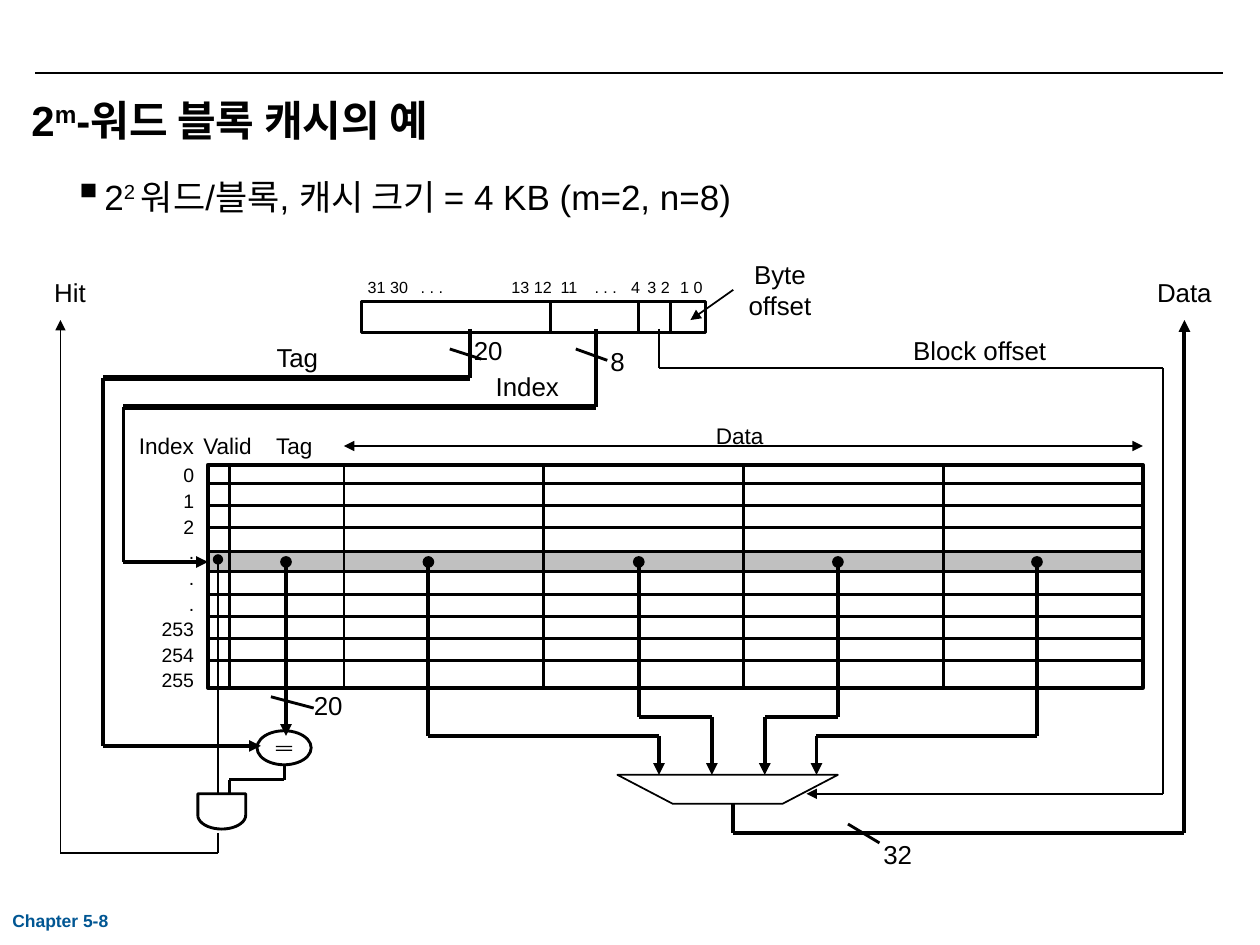
import itertools
import math

import lxml.etree
import pptx
import pptx.dml.color
import pptx.enum.shapes
import pptx.enum.text
import pptx.oxml.ns
import pptx.util
from pptx.util import Inches

BLACK = pptx.dml.color.RGBColor(0x00, 0x00, 0x00)
GRAY = pptx.dml.color.RGBColor(0xC0, 0xC0, 0xC0)
BLUE = pptx.dml.color.RGBColor(0x00, 0x56, 0x93)
FINE, THIN, MEDIUM, BUS, HEAVY = 0.75, 1, 1.63, 2.25, 3
LABEL, COLUMN, ROW, BIT = 14.8, 12.9, 11.1, 9.2
SHAPE = pptx.enum.shapes.MSO_SHAPE
ALIGN = pptx.enum.text.PP_ALIGN


def set_attrs(obj, fmt):
    for name, value in fmt.items():
        setattr(obj, name, value)


def add_xml(parent, tag, **attrs):
    return lxml.etree.SubElement(parent, pptx.oxml.ns.qn(tag), attrs)


def add_text(sl, box, paragraphs, size, wrap=False, bold=False, color=BLACK, inset=None, **para):
    """Each paragraph is a list of (text, is superscript) pairs or a plain string."""
    tf = sl.shapes.add_textbox(*map(Inches, box)).text_frame
    tf.word_wrap = wrap
    if inset is not None:
        for side in ("left", "top", "right", "bottom"):
            setattr(tf, "margin_" + side, Inches(inset))
    for i, runs in enumerate(paragraphs):
        p = tf.add_paragraph() if i else tf.paragraphs[0]
        set_attrs(p, para)
        for text, raised in [(runs, False)] if isinstance(runs, str) else runs:
            r = p.add_run()
            r.text = text
            set_attrs(r.font, {"size": pptx.util.Pt(size), "name": "Arial", "bold": bold})
            r.font.color.rgb = color
            if raised:
                r.font._element.set("baseline", "30000")
    return tf


def label(sl, x, y, w, text, size=LABEL, h=0.35, wrap=False):
    add_text(sl, (x, y, w, h), [text], size, wrap, alignment=ALIGN.CENTER)


def line(sl, start, end, width, head=None, tail=None):
    cn = sl.shapes.add_connector(pptx.enum.shapes.MSO_CONNECTOR.STRAIGHT,
                                 *map(Inches, (*start, *end)))
    cn.line.color.rgb = BLACK
    cn.line.width = pptx.util.Pt(width)
    for tag, kind in (("a:headEnd", head), ("a:tailEnd", tail)):
        if kind:
            add_xml(cn.line._get_or_add_ln(), tag, type=kind)
    add_xml(cn._element.spPr, "a:effectLst")


def route(sl, points, *widths, head=None, tail=None):
    """Join the points with straight wires, cycling through the widths."""
    pairs = list(itertools.pairwise(points))
    for i, ((a, b), width) in enumerate(zip(pairs, itertools.cycle(widths))):
        line(sl, a, b, width, head if i == 0 else None, tail if i == len(pairs) - 1 else None)


def paint(sp, width, fill=None):
    sp.shadow.inherit = False
    if fill is None:
        sp.fill.background()
    else:
        sp.fill.solid()
        sp.fill.fore_color.rgb = fill
    if width:
        sp.line.color.rgb = BLACK
        sp.line.width = pptx.util.Pt(width)
    else:
        sp.line.fill.background()


def shape(sl, kind, box, width, fill=None):
    paint(sl.shapes.add_shape(kind, *map(Inches, box)), width, fill)


def polygon(sl, points, width):
    first, *rest = [tuple(map(Inches, pt)) for pt in points]
    fb = sl.shapes.build_freeform(*first)
    fb.add_line_segments(rest, close=True)
    paint(fb.convert_to_shape(), width)


def bus_width(sl, x, y, dx, dy, text, text_x, text_y, text_w=0.43):
    """Slash across a bus, with its number of bits."""
    line(sl, (x, y), (x + dx, y + dy), MEDIUM)
    label(sl, x + text_x, y + text_y, text_w, text)


def heading(sl, x, y, w):
    line(sl, (x, y), (x + w, y), FINE)
    add_text(sl, (x - 0.03, y + 0.17, w, 0.67),
             [[("2", False), ("m", True), ("-워드 블록 캐시의 예", False)]],
             24, wrap=True, bold=True, inset=0)
    tf = add_text(sl, (x + 0.2, y + 0.76, w - 0.12, 0.53),
                  [[("2", False), ("2 ", True),
                    ("워드/블록, 캐시 크기 = 4 KB (m=2, n=8)", False)]], 20, wrap=True)
    pPr = tf.paragraphs[0]._p.get_or_add_pPr()
    for name, value in (("marL", 0.25), ("indent", -0.25)):
        pPr.set(name, str(Inches(value)))
    add_xml(add_xml(pPr, "a:buClr"), "a:srgbClr", val=str(BLACK))
    add_xml(pPr, "a:buSzPct", val="120000")
    add_xml(pPr, "a:buChar", char="▪")


def address_register(sl, x, y, w, h):
    shape(sl, SHAPE.RECTANGLE, (x, y, w, h), MEDIUM)
    for dx in (1.5, 2.2, 2.45):
        line(sl, (x + dx, y), (x + dx, y + h), MEDIUM)
    tf = add_text(sl, (x - 0.05, y - 0.24, 3.35, 0.26),
                  ["31 30\t. . .\t13 12\t11\t. . .\t4\t3 2\t1 0"], BIT, wrap=True)
    tabs = add_xml(tf.paragraphs[0]._p.get_or_add_pPr(), "a:tabLst")
    for pos in (0.42, 1.14, 1.53, 1.8, 2.09, 2.22, 2.48):
        add_xml(tabs, "a:tab", pos=str(Inches(pos)), algn="l")
    label(sl, x + 2.86, y - 0.39, 0.92, "Byte offset", h=0.6, wrap=True)
    line(sl, (x + 2.95, y - 0.09), (x + 2.61, y + 0.15), THIN, tail="triangle")


def cache_table(sl, x, y, w, h):
    shape(sl, SHAPE.RECTANGLE, (x, y + 0.69, w, 0.16), MEDIUM, GRAY)
    for k in (0, 1, 2, 5, 6, 7, 8):
        row_y = y + 0.15 + 0.175 * k
        line(sl, (x, row_y), (x + w, row_y), MEDIUM)
    shape(sl, SHAPE.RECTANGLE, (x, y, w, h), BUS)
    data_x = x + 1.08
    word_w = (x + w - data_x) / 4
    for col_x in (x + 0.17, *(data_x + word_w * k for k in range(4))):
        line(sl, (col_x, y), (col_x, y + h), MEDIUM)
    for dx, dy, text_w, text in ((3.93, -0.39, 0.58, "Data"), (-0.65, -0.31, 0.64, "Index"),
                                 (0.44, -0.31, 0.49, "Tag"), (-0.14, -0.31, 0.59, "Valid")):
        label(sl, x + dx, y + dy, text_w, text, COLUMN, 0.32)
    line(sl, (data_x, y - 0.15), (x + w, y - 0.15), THIN, "triangle", "triangle")
    add_text(sl, (x - 0.47, y - 0.08, 0.46, 1.95),
             ["0", "1", "2", ".", ".", ".", "253", "254", "255"], ROW,
             alignment=ALIGN.RIGHT, line_spacing=1.1)


def address_path(sl, x, y, w, h, drop, entry):
    """Bus from the register down, left, down again and right into its target."""
    route(sl, [(x + w, y), (x + w, y + drop), (x, y + drop), (x, y + h), (x + entry, y + h)],
          BUS, HEAVY, BUS, BUS, tail="triangle")


def index_path(sl, x, y, w, h):
    address_path(sl, x, y, w, h, 0.62, 0.67)
    bus_width(sl, x + w - 0.16, y + 0.16, 0.25, 0.09, "8", 0.17, -0.08, 0.32)
    label(sl, x + 2.85, y + 0.28, 0.71, "Index")


def tag_path(sl, x, y, w, h):
    address_path(sl, x, y, w, h, 0.39, 1.25)
    bus_width(sl, x + w - 0.16, y + 0.16, 0.25, 0.08, "20", 0.09, -0.16)
    label(sl, x + 1.27, y + 0.05, 0.54, "Tag")


def tag_comparator(sl, x, y, w, h):
    shape(sl, SHAPE.OVAL, (x, y, w, h), MEDIUM)
    for dy in (0.12, 0.15):
        shape(sl, SHAPE.RECTANGLE, (x + 0.15, y + dy, 0.13, 0.01), 0, BLACK)
    line(sl, (x + 0.23, y - 1.34), (x + 0.23, y + 0.04), BUS, "oval", "triangle")
    bus_width(sl, x + 0.11, y - 0.27, 0.34, 0.09, "20", 0.24, -0.11)
    mid_x, out_y = x + w / 2, y + h
    route(sl, [(mid_x, out_y), (mid_x, out_y + 0.12), (x - 0.22, out_y + 0.12),
               (x - 0.22, out_y + 0.23)], MEDIUM)


def hit_gate(sl, x, y, w, h):
    """AND gate with its valid input and the hit output."""
    side, mid_x = 0.17, x + w / 2
    arc = [(mid_x + w / 2 * math.cos(a), y + side + (h - side) * math.sin(a))
           for a in (math.pi * k / 20 for k in range(21))]
    polygon(sl, [(x, y), (x + w, y), *arc], MEDIUM)
    valid_x, hit_x, low_y = x + 0.16, x - 1.09, y + 0.47
    line(sl, (valid_x, y - 1.86), (valid_x, y), MEDIUM, head="oval")
    route(sl, [(valid_x, y + 0.31), (valid_x, low_y), (hit_x, low_y), (hit_x, y - 3.76)],
          THIN, tail="triangle")
    label(sl, hit_x - 0.15, y - 4.15, 0.45, "Hit")


def word_multiplexer(sl, x, y, w, h):
    polygon(sl, [(x, y), (x + 0.44, y + h), (x + w - 0.44, y + h), (x + w, y)], THIN)
    for word_dx, bend_dy, input_dx in ((-1.5, -0.31, 0.33), (0.17, -0.46, 0.75),
                                       (1.75, -0.46, 1.17), (3.33, -0.31, 1.58)):
        word_x, input_x, bend_y = x + word_dx, x + input_dx, y + bend_dy
        route(sl, [(word_x, y - 1.69), (word_x, bend_y), (input_x, bend_y), (input_x, y)],
              BUS, head="oval", tail="triangle")
    offset_x, select_x = x + 0.33, x + 4.33
    route(sl, [(offset_x, y - 3.54), (offset_x, y - 3.23), (select_x, y - 3.23),
               (select_x, y + 0.15), (x + 1.5, y + 0.15)], THIN, tail="triangle")
    label(sl, x + 2, y - 3.54, 1.75, "Block offset", wrap=True)
    out_x, data_x, out_y = x + 0.92, x + 4.5, y + 0.46
    route(sl, [(out_x, y + h), (out_x, out_y), (data_x, out_y), (data_x, y - 3.61)],
          BUS, tail="triangle")
    bus_width(sl, x + 1.83, y + 0.39, 0.25, 0.15, "32", 0.18, 0.07)
    label(sl, data_x - 0.32, y - 4, 0.64, "Data")


def main():
    prs = pptx.Presentation()
    set_attrs(prs, {"slide_width": Inches(10), "slide_height": Inches(7.5)})
    sl = prs.slides.add_slide(prs.slide_layouts[6])
    heading(sl, 0.28, 0.58, 9.43)
    cache_table(sl, 1.65, 3.69, 7.42, 1.77)
    address_register(sl, 2.87, 2.39, 2.73, 0.25)
    index_path(sl, 0.98, 2.61, 3.75, 1.85)
    tag_path(sl, 0.82, 2.61, 2.91, 3.31)
    tag_comparator(sl, 2.04, 5.8, 0.43, 0.27)
    hit_gate(sl, 1.57, 6.3, 0.38, 0.28)
    word_multiplexer(sl, 4.9, 6.15, 1.75, 0.23)
    add_text(sl, (0, 7.17, 1.83, 0.3), ["Chapter 5-8"], 10, wrap=True, bold=True, color=BLUE)
    prs.save("out.pptx")


if __name__ == "__main__":
    main()
